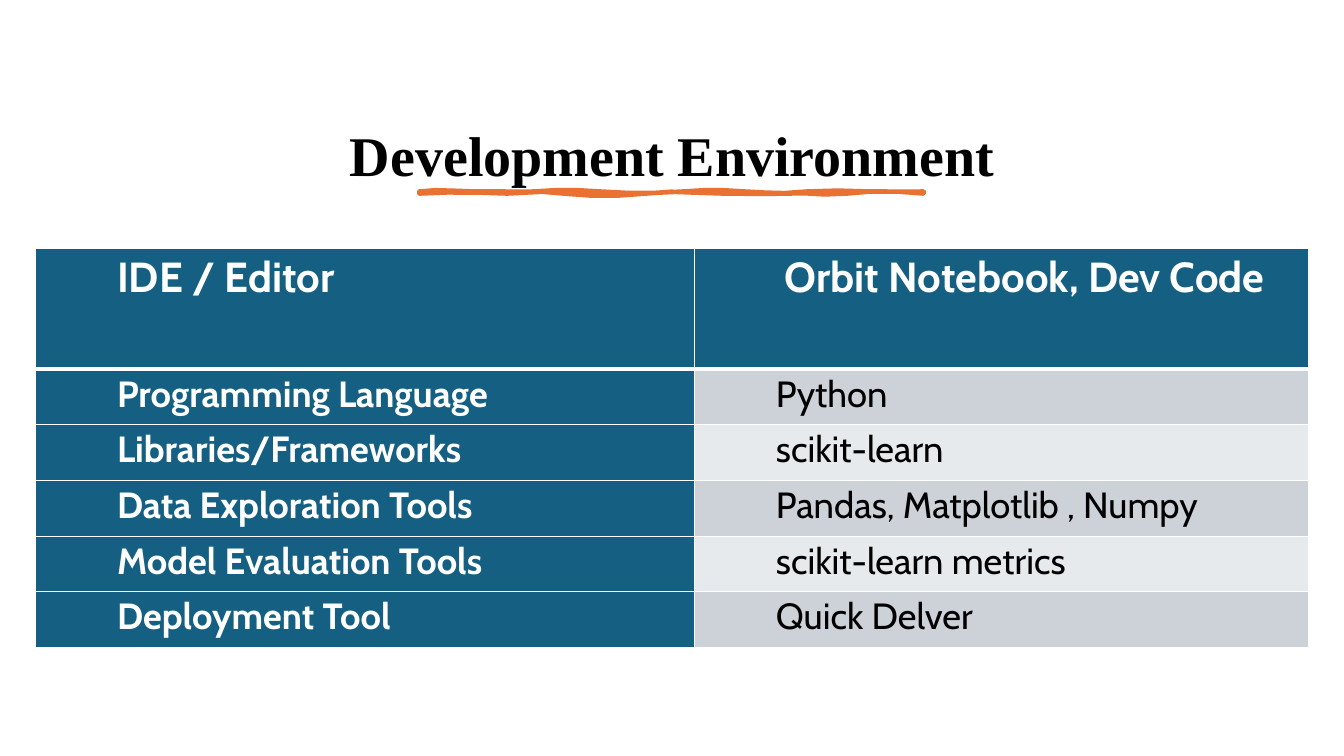
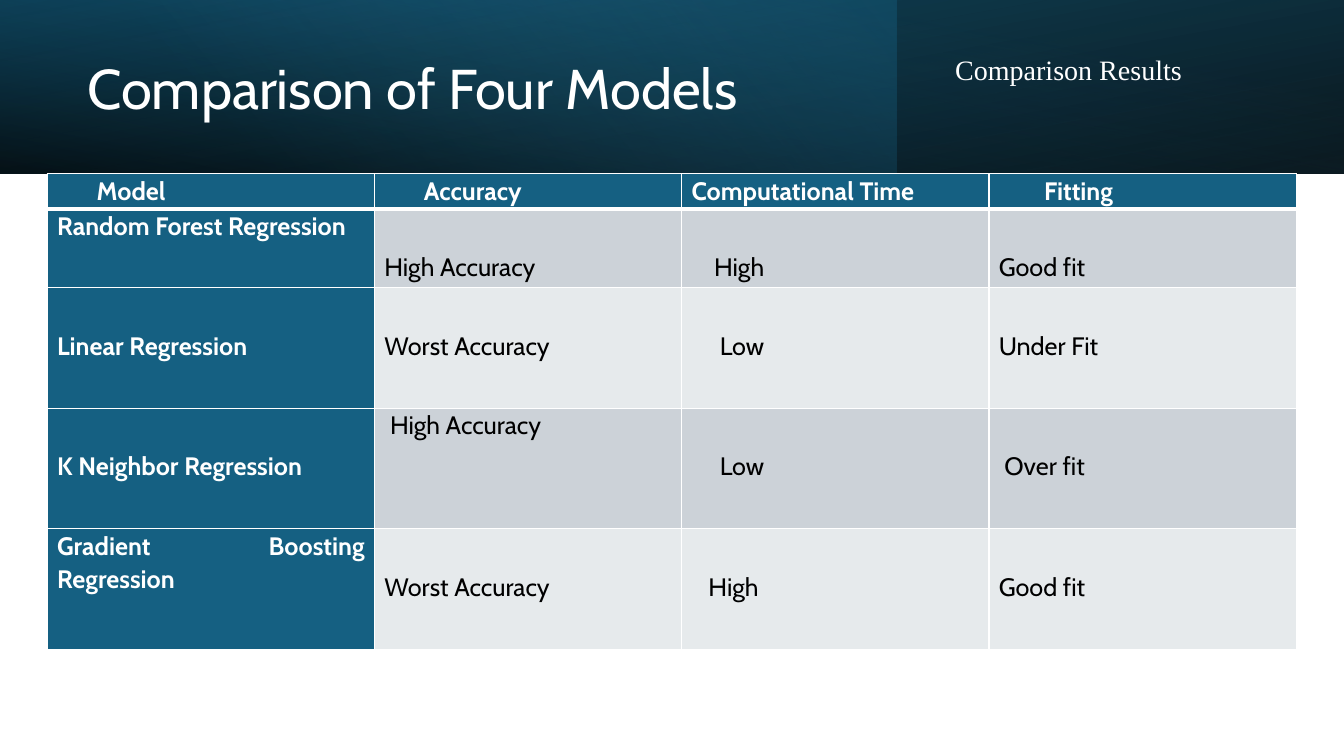
from pptx import Presentation
from pptx.dml.color import RGBColor as RGB
from pptx.enum.shapes import MSO_SHAPE as SHAPE
from pptx.enum.text import MSO_ANCHOR as ANCHOR, MSO_AUTO_SIZE as AUTO, PP_ALIGN as ALIGN
from pptx.oxml import parse_xml
from pptx.oxml.ns import nsdecls, qn
from pptx.util import Inches, Pt
from lxml.etree import SubElement

COLORS = {
    "white": "FFFFFF", "black": "000000", "teal": "156082", "deep": "104862",
    "sky": "46B1E1", "orange": "E97132", "band": "CCD2D8", "pale": "E6EAEC",
}
SANS, SERIF = "Cabin", "Times New Roman"
LINE_DROP = 5.45

UNDERLINE_START = (4.16, 1.9)
UNDERLINE_CURVES = [
    (4.28, 1.87, 4.54, 1.9, 4.73, 1.9), (4.92, 1.89, 5.09, 1.91, 5.29, 1.9),
    (5.49, 1.88, 5.74, 1.88, 5.96, 1.9), (6.17, 1.92, 6.53, 1.92, 6.77, 1.9),
    (7.02, 1.88, 7.14, 1.88, 7.39, 1.9), (7.63, 1.91, 7.74, 1.93, 8, 1.9),
    (8.26, 1.87, 8.67, 1.92, 9.16, 1.9), (9.17, 1.91, 9.16, 1.91, 9.16, 1.92),
    (8.95, 1.9, 8.65, 1.88, 8.4, 1.92), (8.15, 1.95, 8.01, 1.9, 7.79, 1.92),
    (7.56, 1.93, 7.47, 1.92, 7.17, 1.92), (6.87, 1.92, 6.67, 1.88, 6.41, 1.92),
    (6.14, 1.95, 5.85, 1.95, 5.59, 1.92), (5.34, 1.88, 5.23, 1.92, 5.03, 1.92),
    (4.83, 1.91, 4.38, 1.9, 4.16, 1.92),
]


def color(name):
    return RGB.from_string(COLORS[name])


def curve_points(start, curves, steps=3):
    points = [start]
    for x1, y1, x2, y2, x3, y3 in curves:
        x0, y0 = points[-1]
        for i in range(1, steps + 1):
            t = i / steps
            u = 1 - t
            weights = (u ** 3, 3 * u * u * t, 3 * u * t * t, t ** 3)
            points.append((sum(w * x for w, x in zip(weights, (x0, x1, x2, x3))),
                           sum(w * y for w, y in zip(weights, (y0, y1, y2, y3)))))
    return points


class Deck:
    def __init__(self):
        self.prs = Presentation()
        self.prs.slide_width, self.prs.slide_height = Inches(13.33), Inches(7.5)
        self.slide = None

    def new_slide(self):
        self.slide = self.prs.slides.add_slide(self.prs.slide_layouts[5])

    def x(self, percent):
        return round(self.prs.slide_width * percent / 100)

    def y(self, percent):
        return round(self.prs.slide_height * percent / 100)

    def box(self, left, top, width, height):
        return self.x(left), self.y(top), self.x(width), self.y(height)

    def style(self, p, size, font, ink, bold=False, align=ALIGN.LEFT, spacing=0.9):
        p.font.size, p.font.name, p.font.bold = Pt(size), font, bold
        p.font.color.rgb = color(ink)
        p.alignment, p.line_spacing = align, spacing

    def fill_text(self, sp, text, size, font, ink, bold=False, align=ALIGN.LEFT):
        tf = sp.text_frame
        tf.text = text
        tf.word_wrap, tf.auto_size = True, AUTO.NONE
        tf.vertical_anchor = ANCHOR.MIDDLE
        self.style(tf.paragraphs[0], size, font, ink, bold, align)

    def title(self, text, at, font=SANS, ink="white", bold=False, align=ALIGN.LEFT):
        sp = self.slide.shapes.title
        sp.left, sp.top, sp.width, sp.height = self.box(*at)
        self.fill_text(sp, text, 40, font, ink, bold, align)
        sp._element.getparent().append(sp._element)

    def text(self, text, at, size, font, ink):
        sp = self.slide.shapes.add_textbox(*self.box(*at))
        self.fill_text(sp, text, size, font, ink)

    def underline(self):
        points = [(round(x * 1000), round(y * 1000))
                  for x, y in curve_points(UNDERLINE_START, UNDERLINE_CURVES)]
        builder = self.slide.shapes.build_freeform(*points[0], scale=Inches(1) / 1000)
        builder.add_line_segments(points[1:], close=True)
        sp = builder.convert_to_shape()
        sp.shadow.inherit = False
        sp.fill.solid()
        sp.fill.fore_color.rgb = sp.line.color.rgb = color("orange")
        sp.line.width = Pt(3.25)

    def gradient_band(self, width, angle, stops, flip=False, rotation=0):
        sp = self.slide.shapes.add_shape(SHAPE.RECTANGLE, *self.box(0, 0, width, 22.93))
        sp.shadow.inherit = False
        sp.line.fill.background()
        sp.rotation = rotation
        if flip:
            sp._element.spPr.find(qn("a:xfrm")).set("flipH", "1")
        sp.fill.gradient()
        sp.fill.gradient_angle = 360 - angle
        for stop, (position, name, _) in zip(sp.fill.gradient_stops, stops):
            stop.position = position
            stop.color.rgb = color(name)
        for node, (_, _, opacity) in zip(sp._element.spPr.iter(qn("a:srgbClr")), stops):
            SubElement(node, qn("a:alpha")).set("val", str(opacity * 1000))

    def borders(self, cell, row):
        widths = {"L": 1, "R": 1, "T": 3 if row == 1 else 1, "B": 3 if row == 0 else 1}
        tc_pr = cell._tc.get_or_add_tcPr()
        for i, (side, width) in enumerate(widths.items()):
            tc_pr.insert(i, parse_xml(
                f'<a:ln{side} {nsdecls("a")} w="{Pt(width)}"><a:solidFill>'
                f'<a:srgbClr val="{COLORS["white"]}"/></a:solidFill></a:ln{side}>'))

    def table(self, left, top, widths, heights, rows, pad, size, head_size, align):
        at = self.box(left, top, sum(widths), sum(heights))
        table = self.slide.shapes.add_table(len(rows), len(widths), *at).table
        for column, width in zip(table.columns, widths):
            column.width = self.x(width)
        for r, (row, height, cells) in enumerate(zip(table.rows, heights, rows)):
            row.height = self.y(height)
            for c, (cell, (text, indent, drop)) in enumerate(zip(row.cells, cells)):
                head = r == 0 or c == 0
                cell.margin_left, cell.margin_right = self.x(pad + indent), self.x(pad)
                cell.margin_top, cell.margin_bottom = self.y(drop), 0
                cell.fill.solid()
                cell.fill.fore_color.rgb = color(
                    "teal" if head else "band" if r % 2 else "pale")
                cell.text = text
                self.style(cell.text_frame.paragraphs[0], size if r else head_size, SANS,
                           "white" if head else "black", head, align, 1.07)
                self.borders(cell, r)


def environment_slide(deck):
    deck.new_slide()
    deck.title("Development Environment", (5.25, 10.64, 89.5, 20.67),
               SERIF, "black", True, ALIGN.CENTER)
    deck.underline()
    tools = [
        ("IDE / Editor", "Orbit Notebook, Dev Code"),
        ("Programming Language", "Python"),
        ("Libraries/Frameworks", "scikit-learn"),
        ("Data Exploration Tools", "Pandas, Matplotlib , Numpy"),
        ("Model Evaluation Tools", "scikit-learn metrics"),
        ("Deployment Tool", "Quick Delver"),
    ]
    rows = [[(label, 4.88, 0), (value, 4.88 if r else 5.55, 0)]
            for r, (label, value) in enumerate(tools)]
    deck.table(2.63, 32.87, [49.03, 45.69], [15.95] + [7.37] * 5, rows,
               pad=1.2, size=26, head_size=30, align=ALIGN.LEFT)


def comparison_slide(deck):
    deck.new_slide()
    deck.gradient_band(100, 100, [(0, "black", 96), (1, "deep", 100)], True, 180)
    deck.gradient_band(66.69, 140, [(0, "teal", 41), (0.74, "sky", 0)])
    deck.gradient_band(100, 260, [(0, "black", 63), (0.78, "teal", 15)], True)
    deck.title("Comparison of Four Models", (5.76, 3.6, 57.91, 16.93))
    deck.text("Comparison Results", (70.33, 5.85, 26.56, 7.2), 20, SERIF, "white")
    d = LINE_DROP
    rows = [
        [("Model", 2.95, 0), ("Accuracy", 2.95, 0),
         ("Computational Time", 0, 0), ("Fitting", 3.37, 0)],
        [("Random Forest Regression", 0, 0), ("High Accuracy", 0, d),
         ("High", 1.68, d), ("Good fit", 0, d)],
        [("Linear Regression", 0, d), ("Worst Accuracy", 0, d),
         ("Low", 2.1, d), ("Under Fit", 0, d)],
        [("K Neighbor Regression", 0, d), ("High Accuracy", 0.42, 0),
         ("Low", 2.1, d), ("Over fit", 0.42, d)],
        [("Gradient Boosting Regression", 0, 0), ("Worst Accuracy", 0, d),
         ("High", 1.26, d), ("Good fit", 0, d)],
    ]
    deck.table(3.52, 22.97, [24.35] + [22.86] * 3, [4.67, 10.4] + [15.95] * 3, rows,
               pad=0.73, size=18, head_size=18, align=ALIGN.JUSTIFY)


def main():
    deck = Deck()
    environment_slide(deck)
    comparison_slide(deck)
    deck.prs.save("out.pptx")


if __name__ == "__main__":
    main()
